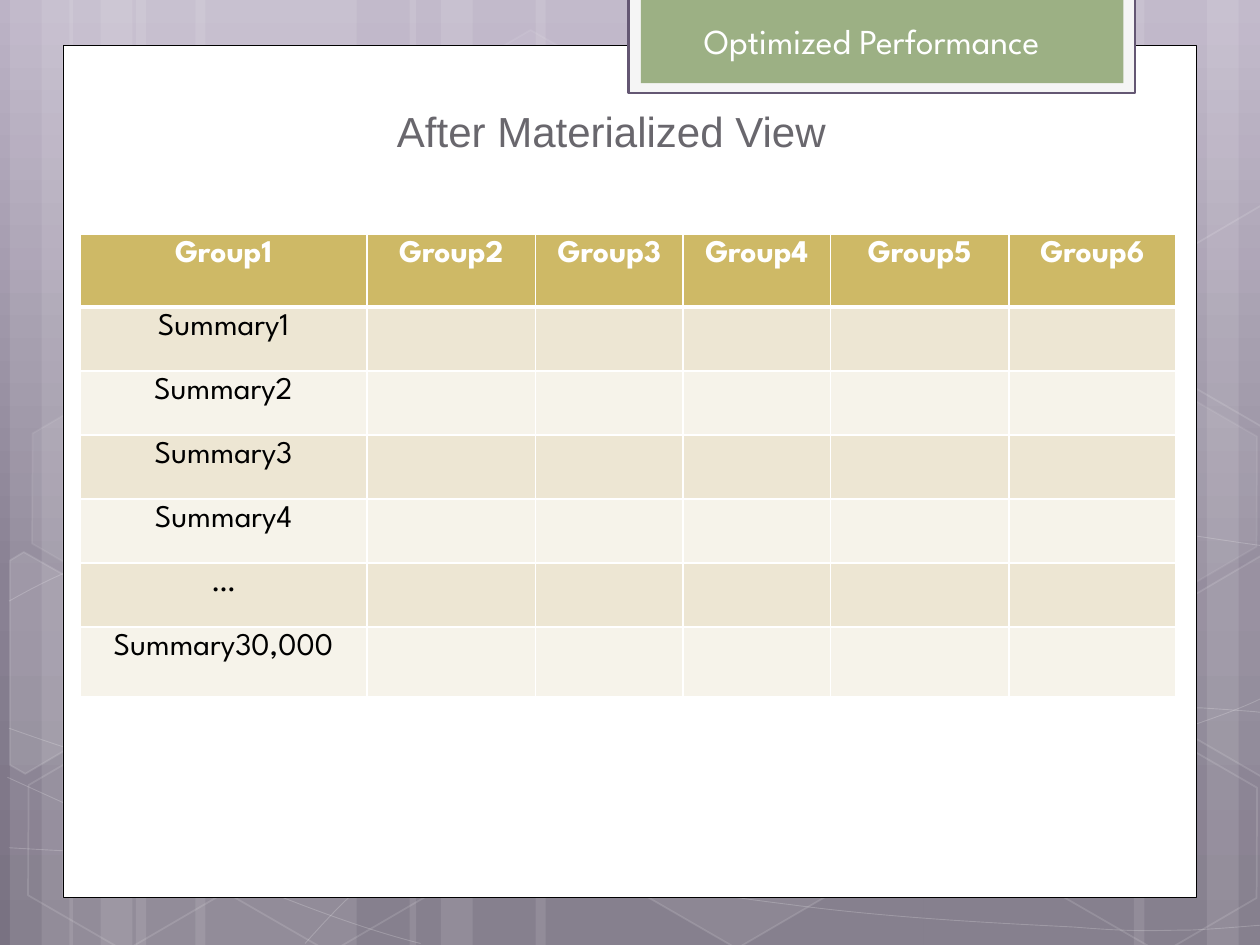
import collections
import copy

import pptx
import pptx.dml.color
import pptx.enum.shapes
import pptx.enum.text
import pptx.oxml
import pptx.oxml.ns
import pptx.util

Cm = pptx.util.Cm
Pt = pptx.util.Pt
RGBColor = pptx.dml.color.RGBColor
SHAPE = pptx.enum.shapes.MSO_SHAPE
CENTER = pptx.enum.text.PP_ALIGN.CENTER
ANCHOR = pptx.enum.text.MSO_ANCHOR
AUTO_SIZE = pptx.enum.text.MSO_AUTO_SIZE

WHITE = RGBColor(0xFF, 0xFF, 0xFF)
BLACK = RGBColor(0x00, 0x00, 0x00)
GRAY = RGBColor(0x69, 0x67, 0x6D)
PALE = RGBColor(0xF5, 0xF5, 0xF5)
PURPLE = RGBColor(0x64, 0x57, 0x73)
GREEN = RGBColor(0x9C, 0xB0, 0x84)
GOLD = RGBColor(0xCE, 0xB9, 0x66)
BANDS = [RGBColor(0xED, 0xE6, 0xD3), RGBColor(0xF6, 0xF3, 0xEA)]
GRADIENT = [
    (0, RGBColor(0xBC, 0xB3, 0xC6)),
    (0.62, RGBColor(0x89, 0x81, 0x93)),
    (1, RGBColor(0x79, 0x72, 0x82)),
]

Box = collections.namedtuple("Box", "left top width height")

STRIPS = [
    (2.74, 4.45), (0.2, 1.27), (0.84, 2.11),
    (3.94, 4.45), (1.4, 1.27), (2.03, 2.11),
    (18.62, 4.45), (24.33, 1.27), (22.86, 2.11),
    (10.8, 7.82), (8.26, 1.27), (8.89, 2.11),
]
CURVES = [
    [(0.18, 17.09), (1.55, 17.17), (2.92, 17.25), (4.83, 17.22), (6.73, 17.2), (9.09, 17.15),
     (11.63, 16.89), (14.17, 16.64), (17.78, 16.15), (20.12, 15.67), (22.43, 15.19),
     (24.82, 14.43), (25.58, 14)],
    [(0.18, 12.12), (0.91, 11.71), (1.65, 11.33), (3.07, 10.95), (4.52, 10.57), (6.58, 10.01),
     (8.81, 9.83), (11.07, 9.65), (13.82, 9.63), (16.61, 9.83), (19.41, 10.03),
     (24.05, 10.82), (25.58, 11.02)],
    [(0.15, 15.67), (3.23, 17.07), (6.27, 18.47), (8.48, 19.02)],
    [(0.18, 14.68), (0.97, 14.96), (1.78, 15.24), (3.25, 15.65), (4.72, 16.03), (6.93, 16.66),
     (9.07, 17.09), (11.18, 17.53), (13.84, 17.98), (15.95, 18.24), (18.06, 18.52),
     (20.32, 18.62), (21.67, 18.69), (22.99, 18.8), (23.34, 18.75), (24, 18.75),
     (24.66, 18.72), (25.12, 18.67), (25.58, 18.64)],
    [(6.15, 19.02), (6.6, 18.52), (7.06, 18.01), (7.67, 17.55), (8.28, 17.09), (9.14, 16.59),
     (9.86, 16.23), (10.57, 15.88), (11, 15.72), (11.94, 15.47), (12.88, 15.21),
     (14.55, 14.86), (15.44, 14.68), (16.36, 14.5), (16.48, 14.5), (17.27, 14.45),
     (18.06, 14.38), (19.3, 14.3), (20.17, 14.27), (21.06, 14.25), (22.5, 14.27),
     (22.5, 14.27), (22.5, 14.27), (24.21, 14.27), (24.21, 14.27), (24.66, 14.3),
     (25.1, 14.33), (25.32, 14.35), (25.55, 14.38), (25.48, 14.35), (25.55, 14.38)],
]
HEXAGONS = [
    (8.48, 0.91, 4, 8), (12.62, 14.96, 6, 12), (0.28, 15.01, None, 12), (0.36, 7.92, 7, 8),
    (4.42, 15.04, None, 12), (19.13, 11.51, 10, 12), (21.18, 15.06, None, 12),
    (21.18, 7.98, 7, 8),
]
CUT_HEXAGONS = [
    (10, [(0.2, 11.3), (0.48, 11.13), (2.44, 12.24), (2.41, 14.48), (0.51, 15.6), (0.2, 15.42)]),
    (4, [(23.52, 12.32), (25.43, 11.2), (25.63, 11.33), (25.63, 15.57), (25.45, 15.67),
         (23.52, 14.55)]),
    (None, [(23.52, 5.26), (25.43, 4.14), (25.65, 4.27), (25.63, 8.51), (25.45, 8.61),
            (23.52, 7.49)]),
]


def set_values(target, values):
    for name, value in values.items():
        setattr(target, name, value)


def set_alpha(shape, where, percent):
    for color in shape.element.xpath(f"p:spPr/{where}a:solidFill/a:srgbClr"):
        alpha = color.makeelement(pptx.oxml.ns.qn("a:alpha"), {"val": str(percent * 1000)})
        color.append(alpha)


def paint(shape, fill=None, fill_alpha=100, line=None, width=1, line_alpha=100):
    shape.shadow.inherit = False
    for part, color in ((shape.fill, fill), (shape.line.fill, line)):
        if color is None:
            part.background()
        else:
            part.solid()
            part.fore_color.rgb = color
    if line is not None:
        shape.line.width = Pt(width)
    for where, percent in (("", fill_alpha), ("a:ln/", line_alpha)):
        if percent < 100:
            set_alpha(shape, where, percent)


def add_panel(page, box, kind=SHAPE.RECTANGLE, **style):
    shape = page.shapes.add_shape(kind, *(Cm(value) for value in box))
    paint(shape, **style)
    return shape


def add_outline(page, box, points, closed, **style):
    spots = [(Cm(box.left + x), Cm(box.top + y)) for x, y in points]
    builder = page.shapes.build_freeform(*spots[0])
    builder.add_line_segments(spots[1:], close=closed)
    shape = builder.convert_to_shape()
    paint(shape, **style)
    return shape


def bend(shape):
    outline = shape.element.xpath(".//a:path")[0]
    lines = outline.xpath("a:lnTo")
    for start in range(0, len(lines), 3):
        curve = outline.makeelement(pptx.oxml.ns.qn("a:cubicBezTo"), {})
        for line in lines[start:start + 3]:
            curve.append(line[0])
            outline.remove(line)
        outline.append(curve)


def write(para, text, font, color):
    para.alignment = CENTER
    span = para.add_run()
    span.text = text
    set_values(span.font, font)
    span.font.color.rgb = color


def fill_background(page):
    fill = page.background.fill
    fill.gradient()
    fill.gradient_angle = 270
    stops = page.element.xpath(".//p:bg//a:gsLst")[0]
    stops.append(copy.deepcopy(stops[0]))
    for stop, (position, color) in zip(fill.gradient_stops, GRADIENT):
        stop.position = position
        stop.color.rgb = color


def add_backdrop(page, box):
    for left, width in STRIPS:
        strip = Box(box.left + left, box.top, width, box.height)
        add_panel(page, strip, fill=WHITE, fill_alpha=10)
    for knots in CURVES:
        bend(add_outline(page, box, knots, False, line=WHITE, width=0.5, line_alpha=20))
    for left, top, alpha, line_alpha in HEXAGONS:
        place = Box(box.left + left, box.top + top, 4.45, 3.86)
        hexagon = add_panel(page, place, SHAPE.HEXAGON, fill=WHITE if alpha else None,
                            fill_alpha=alpha or 100, line=WHITE, line_alpha=line_alpha)
        hexagon.adjustments[0] = 0.285
        hexagon.rotation = 30
    for alpha, points in CUT_HEXAGONS:
        add_outline(page, box, points, True, fill=WHITE if alpha else None,
                    fill_alpha=alpha or 100, line=WHITE, line_alpha=12)


def add_title_tab(page, box):
    add_panel(page, box, fill=PALE, line=PURPLE, width=1.25)
    inner = Box(box.left + 0.25, box.top, box.width - 0.48, box.height - 0.2)
    add_panel(page, inner, fill=GREEN)
    title = page.shapes.title
    set_values(title, {"left": Cm(box.left + 0.46), "top": Cm(box.top + 0.05),
                       "width": Cm(box.width - 1.32), "height": Cm(box.height - 0.56)})
    set_values(title.text_frame, {"vertical_anchor": ANCHOR.BOTTOM, "word_wrap": True,
                                  "auto_size": AUTO_SIZE.NONE})
    write(title.text_frame.paragraphs[0], "Optimized Performance",
          {"name": "League Spartan", "size": Pt(20)}, WHITE)
    title.element.getparent().append(title.element)


def add_subtitle(page, box):
    subtitle = page.shapes.add_textbox(*(Cm(value) for value in box))
    set_values(subtitle.text_frame, {"word_wrap": False, "auto_size": AUTO_SIZE.SHAPE_TO_FIT_TEXT})
    write(subtitle.text_frame.paragraphs[0], "After Materialized View",
          {"name": "Arial", "size": Pt(24)}, GRAY)
    subtitle.element.xpath(".//a:pPr")[0].set("marL", str(int(Cm(0.18))))


def set_borders(cell, widths):
    properties = cell._tc.get_or_add_tcPr()
    for index, (side, width) in enumerate(widths.items()):
        properties.insert(index, pptx.oxml.parse_xml(
            f'<a:ln{side} {pptx.oxml.ns.nsdecls("a")} w="{int(Pt(width))}"><a:solidFill>'
            f'<a:srgbClr val="{WHITE}"/></a:solidFill></a:ln{side}>'))


def add_summary_table(page, box):
    columns = [5.79, 3.4, 2.97, 2.97, 3.6, 3.37]
    rows = [1.47] + [1.29] * 5 + [1.4]
    groups = [f"Group{number}" for number in range(1, 7)]
    summaries = [f"Summary{number}" for number in range(1, 5)] + ["…", "Summary30,000"]
    texts = [groups] + [[summary] + [""] * 5 for summary in summaries]
    frame = page.shapes.add_table(len(rows), len(columns), *(Cm(value) for value in box))
    table = frame.table
    table.horz_banding = False
    for column, width in zip(table.columns, columns):
        column.width = Cm(width)
    for row_index, (row, height) in enumerate(zip(table.rows, rows)):
        row.height = Cm(height)
        header = row_index == 0
        for cell, text in zip(row.cells, texts[row_index]):
            cell.fill.solid()
            cell.fill.fore_color.rgb = GOLD if header else BANDS[(row_index - 1) % 2]
            set_borders(cell, {"L": 1, "R": 1, "T": 3 if row_index == 1 else 1,
                               "B": 3 if header else 1})
            if text:
                write(cell.text_frame.paragraphs[0], text,
                      {"name": "League Spartan", "size": Pt(18), "bold": header},
                      WHITE if header else BLACK)


def main():
    deck = pptx.Presentation()
    set_values(deck, {"slide_width": Cm(25.4), "slide_height": Cm(19.05)})
    page = deck.slides.add_slide(deck.slide_layouts[5])
    fill_background(page)
    add_backdrop(page, Box(0, 0, 25.4, 19.05))
    add_panel(page, Box(1.27, 0.91, 22.86, 17.19), fill=WHITE, line=BLACK, width=0.5)
    add_title_tab(page, Box(12.67, -0.05, 10.21, 1.93))
    add_subtitle(page, Box(7.51, 2.01, 9.45, 1.27))
    add_summary_table(page, Box(1.61, 4.72, 22.1, 9.32))
    deck.save("out.pptx")


if __name__ == "__main__":
    main()
